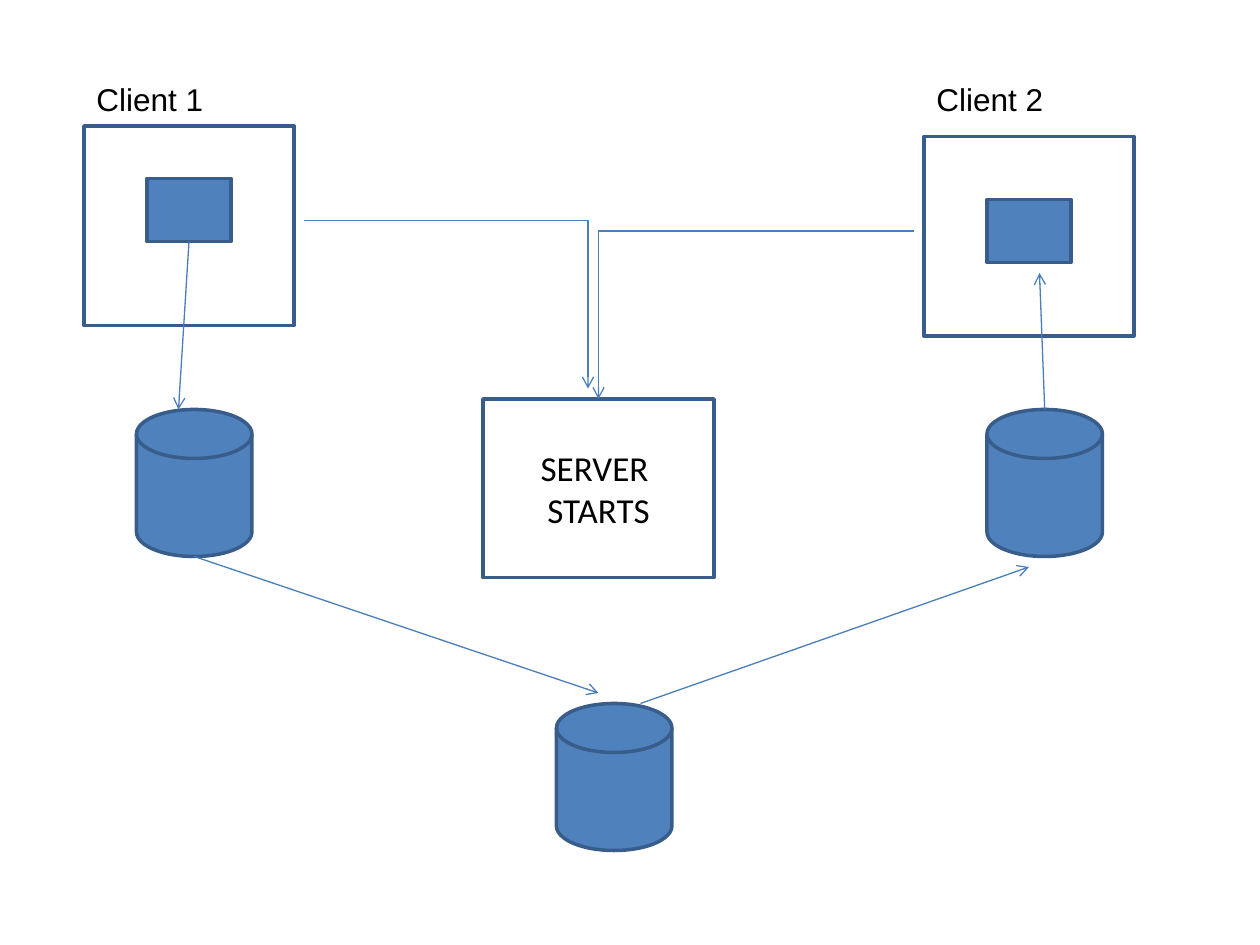
from lxml import etree
from pptx import Presentation
from pptx.dml.color import RGBColor
from pptx.enum.shapes import MSO_CONNECTOR, MSO_SHAPE
from pptx.enum.text import MSO_ANCHOR, MSO_AUTO_SIZE, PP_ALIGN
from pptx.oxml.ns import qn
from pptx.util import Pt

RECTANGLE = MSO_SHAPE.RECTANGLE
DISK = MSO_SHAPE.FLOWCHART_MAGNETIC_DISK
STRAIGHT, ELBOW = MSO_CONNECTOR.STRAIGHT, MSO_CONNECTOR.ELBOW
CENTER, MIDDLE = PP_ALIGN.CENTER, MSO_ANCHOR.MIDDLE
GROW = MSO_AUTO_SIZE.SHAPE_TO_FIT_TEXT


def color(hex_text):
    return RGBColor.from_string(hex_text)


class Diagram:
    WHITE, BLACK, BLUE = "FFFFFF", "000000", "4F81BD"
    OUTLINE, ARROW = "385D8A", "4A7EBB"

    def __init__(self, page):
        self.page = page

    def shape(self, kind, left, top, width, height, fill):
        shape = self.page.shapes.add_shape(
            kind, Pt(left), Pt(top), Pt(width), Pt(height))
        shape.shadow.inherit = False
        shape.fill.solid()
        shape.fill.fore_color.rgb = color(fill)
        shape.line.color.rgb = color(self.OUTLINE)
        shape.line.width = Pt(2)
        return shape

    def frame(self, left, top, width, height):
        return self.shape(RECTANGLE, left, top, width, height, self.WHITE)

    def process(self, left, top):
        self.shape(RECTANGLE, left, top, 48, 36, self.BLUE)

    def disk(self, left, top):
        self.shape(DISK, left, top, 66, 84, self.BLUE)

    def add_text(self, box, text, size, font):
        box.text_frame.word_wrap = True
        para = box.text_frame.paragraphs[0]
        span = para.add_run()
        span.text = text
        span.font.size = Pt(size)
        span.font.name = font
        span.font.color.rgb = color(self.BLACK)
        return para

    def label(self, left, top, text):
        box = self.page.shapes.add_textbox(
            Pt(left), Pt(top), Pt(120), Pt(28.8))
        self.add_text(box, text, 18, "Arial")
        box.text_frame.auto_size = GROW

    def arrow(self, start, end, kind=STRAIGHT):
        connector = self.page.shapes.add_connector(
            kind, *(Pt(value) for value in start + end))
        connector.line.color.rgb = color(self.ARROW)
        connector.line.width = Pt(0.75)
        properties = connector._element.spPr
        etree.SubElement(properties.find(qn("a:ln")), qn("a:tailEnd"),
                         type="arrow")
        etree.SubElement(properties, qn("a:effectLst"))
        return properties

    def corner_arrow(self, start, end):
        """Run sideways first, then down, with a single bend."""
        properties = self.arrow(start, end, ELBOW)
        properties.find(qn("a:prstGeom")).set("prst", "bentConnector2")
        if end[0] < start[0]:
            # A half turn with a vertical flip mirrors left to right
            transform = properties.find(qn("a:xfrm"))
            del transform.attrib["flipH"]
            transform.set("rot", "10800000")
            transform.set("flipV", "1")


def main():
    deck = Presentation()
    deck.slide_width, deck.slide_height = Pt(720), Pt(540)
    diagram = Diagram(deck.slides.add_slide(deck.slide_layouts[6]))

    # Clients with their inner processes
    for name, left, top, process_left, process_top in (
            ("Client 1", 48, 72, 84, 102),
            ("Client 2", 528, 78, 564, 114)):
        diagram.label(left, 42, name)
        diagram.frame(left, top, 120, 114)
        diagram.process(process_left, process_top)

    # Server
    server = diagram.frame(276, 228, 132, 102)
    server.text_frame.vertical_anchor = MIDDLE
    caption = diagram.add_text(server, "SERVER  STARTS", 20, "Calibri")
    caption.alignment = CENTER

    # Data stores
    for left, top in ((78, 234), (318, 402), (564, 234)):
        diagram.disk(left, top)

    # Data flow from client 1 to client 2
    for start, end in (((108, 138), (102, 234)),
                       ((111, 318), (342, 396)),
                       ((366, 402), (588, 324)),
                       ((597, 234), (594, 156))):
        diagram.arrow(start, end)

    # Both clients reach the server
    diagram.corner_arrow((174, 126), (336, 222))
    diagram.corner_arrow((522, 132), (342, 228))

    deck.save("out.pptx")


if __name__ == "__main__":
    main()
